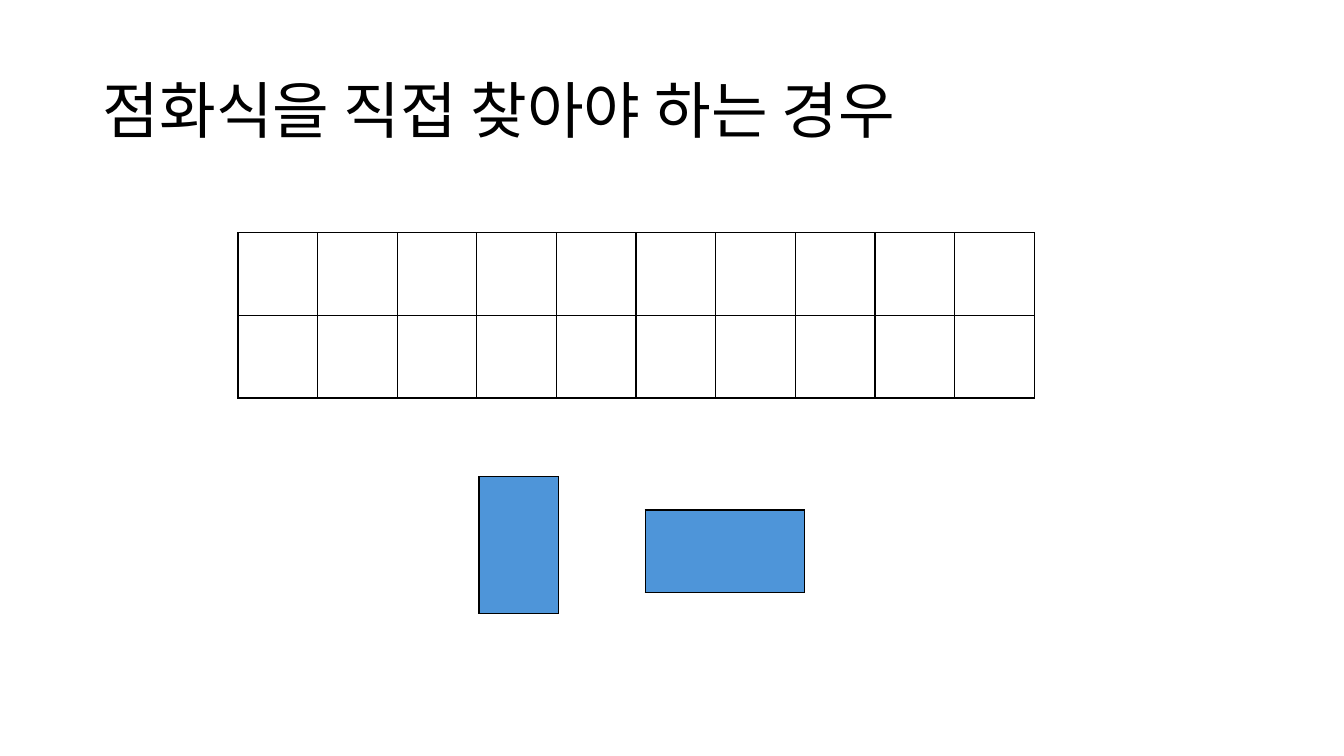
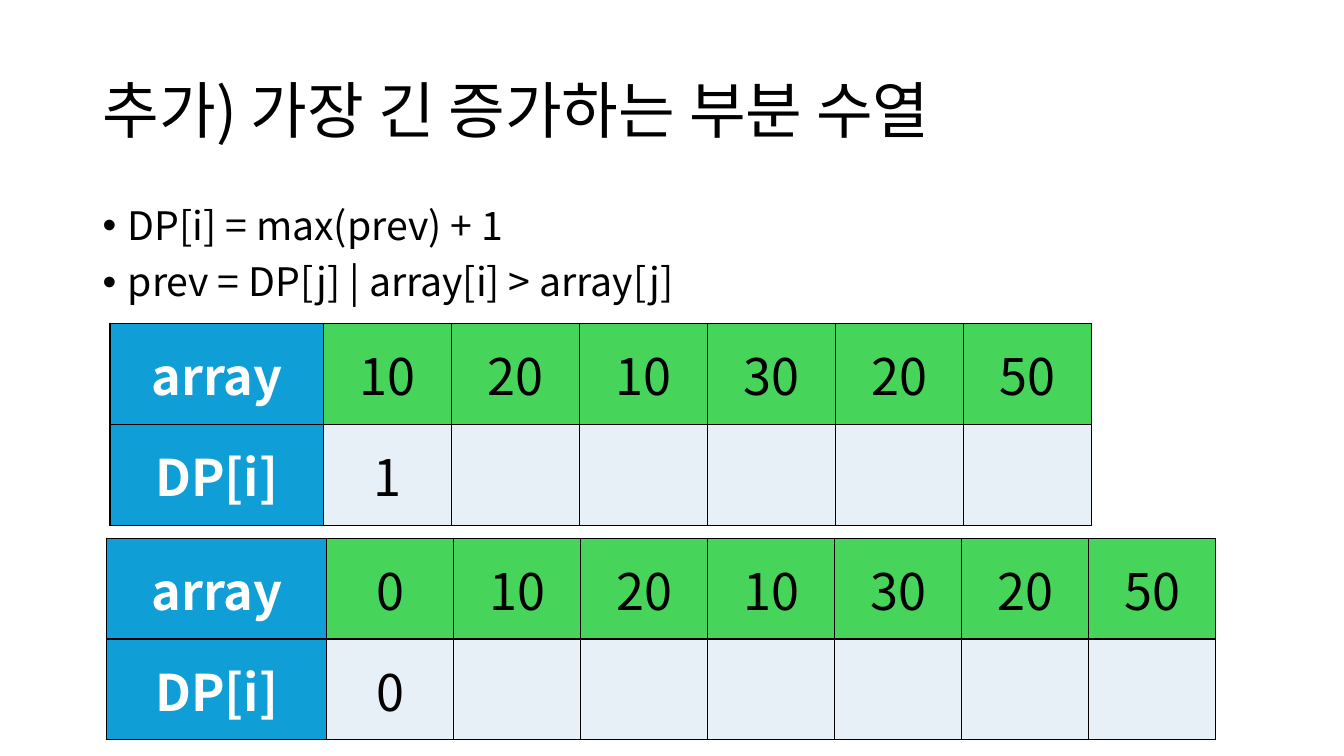
"""Build two slides on finding recurrences for dynamic programming."""
from dataclasses import dataclass

import pptx
import pptx.dml.color
import pptx.enum.text
import pptx.oxml
import pptx.oxml.ns
import pptx.util
from lxml import etree

SCALE = 9144
FONT = "Noto Sans CJK KR"
BLACK, WHITE = "000000", "FFFFFF"
TILE, HEAD, GREEN, PALE = "4E95D9", "0F9ED5", "47D45A", "E7F0F7"
qn = pptx.oxml.ns.qn


@dataclass(frozen=True)
class Grid:
    left: int
    top: int
    cols: list[int]
    rows: list[int]
    fills: list[list[str]]
    texts: list[list[str]]


def px(size: int) -> pptx.util.Emu:
    return pptx.util.Emu(size * SCALE)


def color(code: str) -> pptx.dml.color.RGBColor:
    return pptx.dml.color.RGBColor.from_string(code)


def style(para, size: int, code: str = BLACK, bold: bool = False) -> None:
    for run in para.runs:
        font = run.font
        font.size = pptx.util.Pt(size)
        font.name = FONT
        font.bold = bold
        font.color.rgb = color(code)
        etree.SubElement(run._r.get_or_add_rPr(), qn("a:ea"), typeface=FONT)


def border(cell) -> None:
    props = cell._tc.get_or_add_tcPr()
    for spot, side in enumerate(("lnL", "lnR", "lnT", "lnB")):
        line = etree.Element(qn(f"a:{side}"), w="12700")
        fill = etree.SubElement(line, qn("a:solidFill"))
        etree.SubElement(fill, qn("a:srgbClr"), val=BLACK)
        props.insert(spot, line)


def draw(slide, grid: Grid) -> None:
    frame = slide.shapes.add_table(
        len(grid.rows), len(grid.cols), px(grid.left), px(grid.top),
        px(sum(grid.cols)), px(sum(grid.rows)))
    table = frame.table
    table.first_row = table.horz_banding = False
    for col, width in zip(table.columns, grid.cols):
        col.width = px(width)
    for y, height in enumerate(grid.rows):
        table.rows[y].height = px(height)
        for x in range(len(grid.cols)):
            cell = table.cell(y, x)
            code = grid.fills[y][x]
            cell.fill.solid()
            cell.fill.fore_color.rgb = color(code)
            border(cell)
            cell.vertical_anchor = pptx.enum.text.MSO_ANCHOR.MIDDLE
            if grid.texts[y][x]:
                cell.text_frame.text = grid.texts[y][x]
                para = cell.text_frame.paragraphs[0]
                para.alignment = pptx.enum.text.PP_ALIGN.CENTER
                head = code == HEAD
                style(para, 36, WHITE if head else BLACK, head)


def plain(left: int, top: int, cols: list[int], rows: list[int], code: str) -> Grid:
    return Grid(left, top, cols, rows,
                [[code] * len(cols) for _ in rows], [[""] * len(cols) for _ in rows])


def steps(left: int, top: int, head: int, width: int, nums: list[int], first: str) -> Grid:
    count = len(nums)
    return Grid(left, top, [head] + [width] * count, [100, 100],
                [[HEAD] + [code] * count for code in (GREEN, PALE)],
                [["array", *map(str, nums)], ["DP[i]", first] + [""] * (count - 1)])


def page(deck, text: str):
    slide = deck.slides.add_slide(deck.slide_layouts[5])
    title = slide.shapes.title
    title.left, title.top, title.width, title.height = map(px, (92, 40, 1150, 145))
    frame = title.text_frame
    frame.text = text
    frame.word_wrap = True
    frame.auto_size = pptx.enum.text.MSO_AUTO_SIZE.NONE
    frame.vertical_anchor = pptx.enum.text.MSO_ANCHOR.MIDDLE
    para = frame.paragraphs[0]
    para.alignment = pptx.enum.text.PP_ALIGN.LEFT
    para.line_spacing = 0.9
    style(para, 44)
    return slide


def notes(slide, lines: list[str]) -> None:
    box = slide.shapes.add_textbox(px(92), px(200), px(1150), px(476))
    frame = box.text_frame
    frame.word_wrap = True
    frame.text = "\n".join(lines)
    for para in frame.paragraphs:
        para.line_spacing = 0.9
        para.space_before = pptx.util.Pt(10)
        props = para._p.get_or_add_pPr()
        props.set("marL", str(px(25)))
        props.set("indent", str(px(-25)))
        etree.SubElement(props, qn("a:buFont"), typeface="Arial")
        etree.SubElement(props, qn("a:buChar"), char="•")
        style(para, 28)


def main() -> None:
    deck = pptx.Presentation()
    deck.slide_width, deck.slide_height = px(1333), px(750)

    slide = page(deck, "점화식을 직접 찾아야 하는 경우")
    draw(slide, plain(236, 231, [79] * 10, [82, 82], WHITE))
    draw(slide, plain(475, 473, [79], [136], TILE))
    draw(slide, plain(640, 506, [158], [82], TILE))

    slide = page(deck, "추가) 가장 긴 증가하는 부분 수열")
    notes(slide, ["DP[i] = max(prev) + 1", "prev = DP[j] | array[i] > array[j]"])
    nums = [10, 20, 10, 30, 20, 50]
    draw(slide, steps(109, 321, 212, 127, nums, "1"))
    draw(slide, steps(106, 534, 218, 126, [0, *nums], "0"))
    deck.save("out.pptx")


if __name__ == "__main__":
    main()
